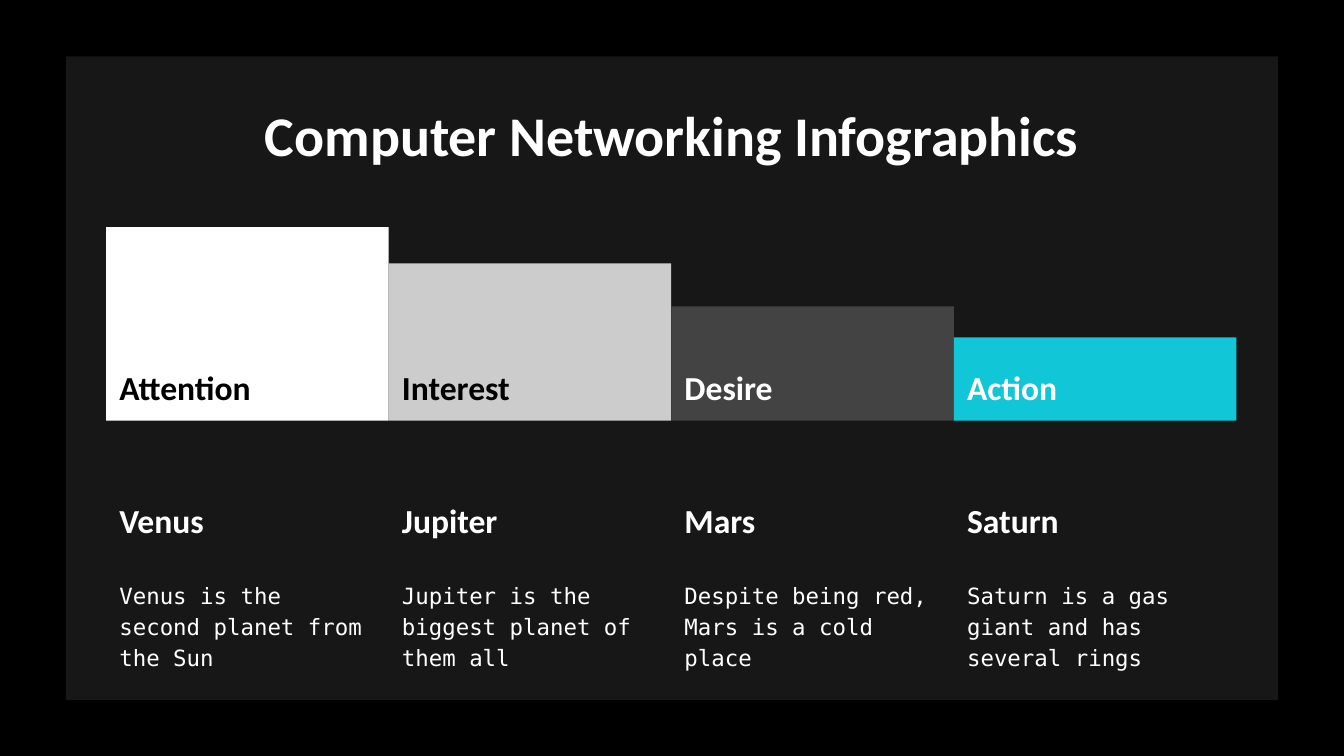
from pptx import Presentation
from pptx.dml.color import RGBColor
from pptx.enum import shapes, text
from pptx.util import Inches, Pt

HEADING_FONT = "Calibri"
BODY_FONT = "DejaVu Sans Mono"
WHITE, BLACK = "FFFFFF", "000000"

# stage, bar height, bar colour, label colour, planet, description
STAGES = [
    ("Attention", 1.44, WHITE, BLACK, "Venus",
     "Venus is the second planet from the Sun"),
    ("Interest", 1.17, "CCCCCC", BLACK, "Jupiter",
     "Jupiter is the biggest planet of them all"),
    ("Desire", 0.85, "434343", WHITE, "Mars",
     "Despite being red, Mars is a cold place"),
    ("Action", 0.62, "11C7D7", WHITE, "Saturn",
     "Saturn is a gas giant and has several rings"),
]


def color(hex_string):
    return RGBColor.from_string(hex_string)


def write(shape, words, size=18, font=HEADING_FONT, fill=WHITE, bold=True,
          align=text.PP_ALIGN.LEFT, anchor=text.MSO_ANCHOR.TOP,
          line_spacing=None, space_after=None):
    frame = shape.text_frame
    frame.word_wrap = True
    frame.vertical_anchor = anchor
    frame.margin_left = frame.margin_right = Inches(0.1)
    frame.margin_top = frame.margin_bottom = Inches(0.1)
    paragraph = frame.paragraphs[0]
    paragraph.alignment = align
    paragraph.line_spacing = line_spacing
    paragraph.space_after = space_after
    run = paragraph.add_run()
    run.text = words
    run.font.size = Pt(size)
    run.font.name = font
    run.font.bold = bold
    run.font.color.rgb = color(fill)


def add_box(parent, left, top, width, height, fill):
    box = parent.add_shape(shapes.MSO_SHAPE.RECTANGLE, Inches(left),
                           Inches(top), Inches(width), Inches(height))
    box.shadow.inherit = False
    box.fill.solid()
    box.fill.fore_color.rgb = color(fill)
    box.line.fill.background()
    return box


def add_text(parent, left, top, width, height, words, **style):
    box = parent.add_textbox(Inches(left), Inches(top),
                             Inches(width), Inches(height))
    write(box, words, **style)


def add_stage(slide, left, top, width, height, stage):
    """Bar standing on a shared baseline, with its planet below."""
    label, bar_height, bar_fill, label_fill, planet, description = stage
    column = slide.shapes.add_group_shape().shapes
    baseline = top + 1.44
    bar = add_box(column, left, baseline - bar_height, width, bar_height,
                  bar_fill)
    write(bar, label, fill=label_fill, anchor=text.MSO_ANCHOR.BOTTOM)
    bottom = top + height
    add_text(column, left, bottom - 1.31, width, 0.58, planet)
    add_text(column, left, bottom - 0.73, width, 0.73, description, size=12,
             font=BODY_FONT, bold=False, line_spacing=1.15,
             space_after=Pt(12))


def add_stages(slide, left, top, width, height):
    column_width = width / len(STAGES)
    for index, stage in enumerate(STAGES):
        add_stage(slide, left + index * column_width, top, column_width,
                  height, stage)


def main():
    deck = Presentation()
    # Widescreen, 16:9
    deck.slide_width = Inches(10)
    deck.slide_height = deck.slide_width * 9 // 16
    slide = deck.slides.add_slide(deck.slide_layouts[6])

    # Black frame around a dark panel
    slide.background.fill.solid()
    slide.background.fill.fore_color.rgb = color(BLACK)
    add_box(slide.shapes, 0.49, 0.42, 9.02, 4.79, "171717")

    # Title
    add_text(slide.shapes, 0.79, 0.65, 8.42, 0.63,
             "Computer Networking Infographics", size=30,
             align=text.PP_ALIGN.CENTER)

    # Four descending stages
    add_stages(slide, 0.79, 1.69, 8.41, 3.24)
    deck.save("out.pptx")


if __name__ == "__main__":
    main()
